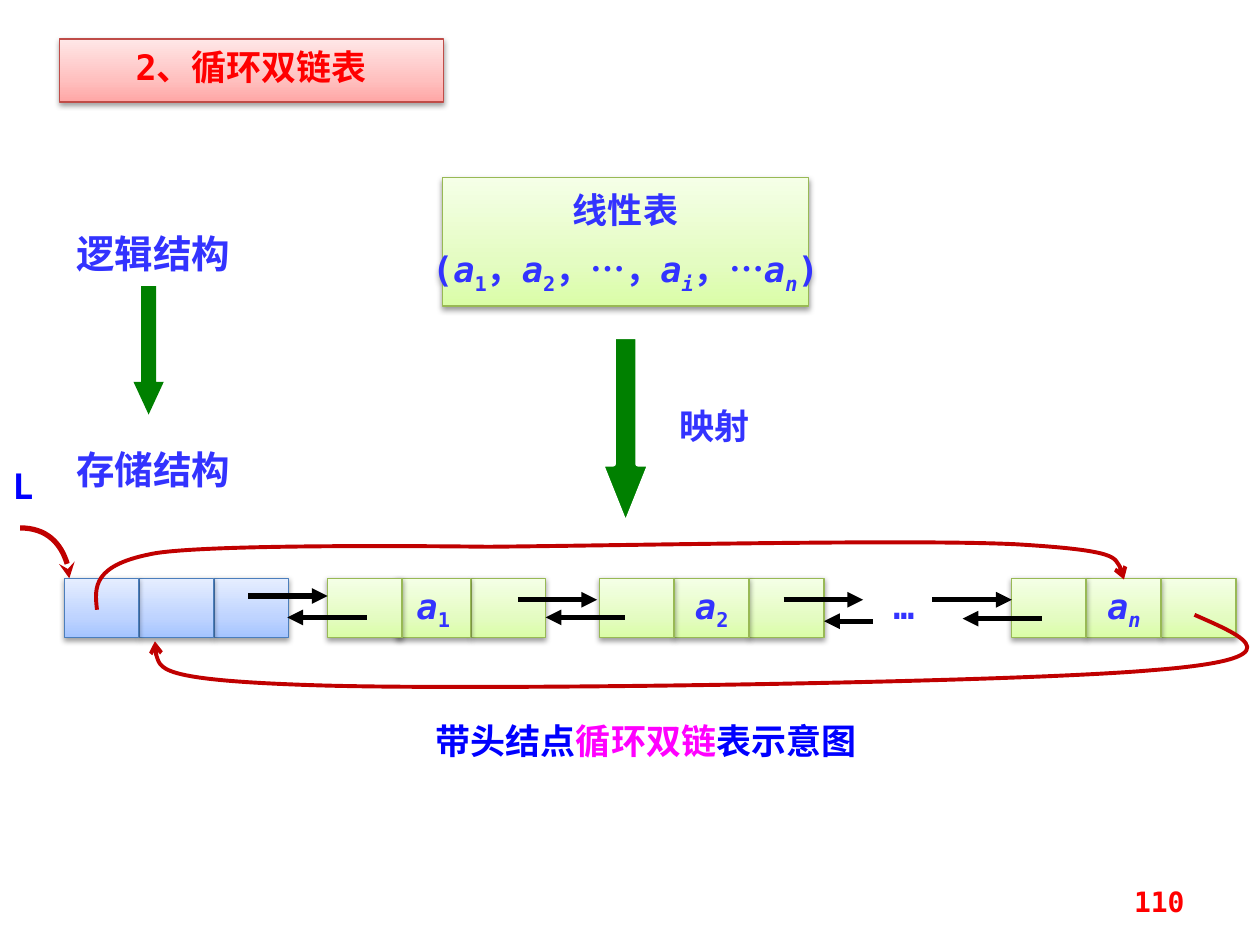
from copy import deepcopy
from dataclasses import dataclass

from lxml import etree
from pptx import Presentation
from pptx import util as u
from pptx.dml.color import RGBColor
from pptx.enum import shapes, text
from pptx.oxml import ns


@dataclass(frozen=True)
class Theme:
    font: str = "DejaVu Sans Mono"
    ink: str = "3333FF"
    strong: str = "0000FF"
    accent: str = "FF00FF"
    alert: str = "FF0000"
    mapping: str = "008000"
    loop: str = "C00000"
    link: str = "000000"
    paper: str = "FFFFFF"
    # Boxes: outline, then gradient stops from bottom to top
    green: tuple = ("98B955", "DAFDA7", "E4FCC2", "F5FFE7")
    blue: tuple = ("4B7EBC", "A4C4FF", "BFD4FF", "E6EEFF")
    red: tuple = ("BF4C48", "FFA6A5", "FFC0BF", "FFE7E7")
    body: int = 20
    label: int = 22
    number: int = 16


THEME = Theme()
ALIGN = text.PP_ALIGN
ANCHOR = text.MSO_ANCHOR
CELL_W, CELL_H, ROW_TOP = 0.59, 0.47, 4.59
CELL_PITCH = 1.19 / 2


def rgb(value):
    return RGBColor.from_string(value)


def inches(*values):
    return [u.Inches(v) for v in values]


def add_xml(parent, tag, **attributes):
    return etree.SubElement(parent, ns.qn(tag), attributes)


# Text
def write(shape, paragraphs, size=THEME.body, color=THEME.ink, align=ALIGN.CENTER,
          anchor=ANCHOR.TOP, wrap=True):
    """Each paragraph is a list of (words, options) runs."""
    frame = shape.text_frame
    frame.word_wrap, frame.vertical_anchor = wrap, anchor
    for index, runs in enumerate(paragraphs):
        paragraph = frame.add_paragraph() if index else frame.paragraphs[0]
        paragraph.alignment = align
        if index:
            paragraph.space_before = u.Pt(size / 2)
        for words, options in runs:
            run = paragraph.add_run()
            run.text = words
            values = {"name": THEME.font, "size": u.Pt(size), "bold": True,
                      "italic": options.get("italic", False)}
            for name, value in values.items():
                setattr(run.font, name, value)
            run.font.color.rgb = rgb(options.get("color", color))
            if options.get("sub"):
                run.font._element.set("baseline", "-25000")


def element(index):
    """Runs for the list element a with a subscript."""
    return [("a", {"italic": True}), (index, {"sub": True, "italic": index.isalpha()})]


def add_label(slide, box, runs, **style):
    write(slide.shapes.add_textbox(*inches(*box)), [runs], **style)


# Boxes and arrows
def style_box(shape, colors):
    outline, *stops = colors
    shape.line.color.rgb, shape.line.width = rgb(outline), u.Pt(0.75)
    shape.fill.gradient()
    shape.fill.gradient_angle = 90
    properties = shape._element.spPr
    stop_list = properties.find(f"{ns.qn('a:gradFill')}/{ns.qn('a:gsLst')}")
    stop_list.append(deepcopy(stop_list[0]))
    for stop, color, position in zip(shape.fill.gradient_stops, stops, (0, 0.35, 1)):
        stop.color.rgb, stop.position = rgb(color), position
    shadow = add_xml(add_xml(properties, "a:effectLst"), "a:outerShdw", blurRad="40000",
                     dist="20000", dir="5400000", rotWithShape="0")
    add_xml(add_xml(shadow, "a:srgbClr", val="000000"), "a:alpha", val="38000")


def add_box(slide, box, colors):
    shape = slide.shapes.add_shape(shapes.MSO_SHAPE.RECTANGLE, *inches(*box))
    style_box(shape, colors)
    return shape


def add_node(slide, left, colors, runs=None, overlap=0):
    """Three cells: previous link, data, next link; the first lies on top."""
    for part in (2, 1, 0):
        x = left + part * CELL_PITCH - (overlap if part else 0)
        cell = add_box(slide, (x, ROW_TOP, CELL_W, CELL_H), colors)
        if runs and part == 1:
            write(cell, [runs], anchor=ANCHOR.MIDDLE, wrap=False)


def add_down_arrow(slide, box, head, outline=None):
    arrow = slide.shapes.add_shape(shapes.MSO_SHAPE.DOWN_ARROW, *inches(*box))
    arrow.adjustments[0], arrow.adjustments[1] = 0.5, head
    arrow.shadow.inherit = False
    arrow.fill.solid()
    arrow.fill.fore_color.rgb = rgb(THEME.mapping)
    if outline:
        arrow.line.color.rgb, arrow.line.width = rgb(outline), u.Pt(3)
    else:
        arrow.line.fill.background()


def style_line(line, color, width, head):
    line.line.color.rgb, line.line.width = rgb(color), u.Pt(width)
    properties = line._element.spPr
    add_xml(properties.find(ns.qn("a:ln")), "a:tailEnd", type=head)
    add_xml(properties, "a:effectLst")


def add_link(slide, start, end, y):
    link = slide.shapes.add_connector(shapes.MSO_CONNECTOR.STRAIGHT,
                                      *inches(start, y, end, y))
    style_line(link, THEME.link, 3, "triangle")


def add_curve(slide, start, controls, width, head):
    """Bezier curve: every three control points make one segment."""
    builder = slide.shapes.build_freeform(*inches(*start))
    builder.add_line_segments([inches(*point) for point in controls], close=False)
    curve = builder.convert_to_shape()
    curve.fill.background()
    style_line(curve, THEME.loop, width, head)
    outline = next(curve._element.iter(ns.qn("a:path")))
    steps = outline.findall(ns.qn("a:lnTo"))
    for first in range(0, len(steps), 3):
        segment = add_xml(outline, "a:cubicBezTo")
        for step in steps[first:first + 3]:
            segment.append(step[0])
            outline.remove(step)


def main():
    deck = Presentation()
    deck.slide_width, deck.slide_height = inches(10, 7.5)
    slide = deck.slides.add_slide(deck.slide_layouts[5])

    # Title
    title = slide.shapes.title
    title.left, title.top, title.width, title.height = inches(0.47, 0.31, 3.05, 0.5)
    style_box(title, THEME.red)
    write(title, [[("2、循环双链表", {})]], color=THEME.alert)

    # Logical structure mapped to storage structure
    sequence = [("(", {}), *element("1"), ("，", {}), *element("2"), ("，…，", {}),
                *element("i"), ("，…", {}), *element("n"), (")", {})]
    linear_list = add_box(slide, (3.51, 1.41, 2.91, 1.02), THEME.green)
    write(linear_list, [[("线性表", {})], sequence], anchor=ANCHOR.MIDDLE, wrap=False)
    add_down_arrow(slide, (4.77, 2.67, 0.39, 1.5), 1.25, THEME.paper)
    add_down_arrow(slide, (1.06, 2.27, 0.24, 1.02), 1.08)
    add_label(slide, (5.16, 3.16, 1.02, 0.43), [("映射", {})])
    for words, top in (("逻辑结构", 1.78), ("存储结构", 3.49)):
        add_label(slide, (0.27, top, 1.89, 0.47), [(words, {})], size=THEME.label)

    # Head node and data nodes
    add_node(slide, 0.51, THEME.blue)
    add_node(slide, 2.6, THEME.green, element("1"), overlap=0.05)
    add_node(slide, 4.76, THEME.green, element("2"))
    add_node(slide, 8.03, THEME.green, element("n"))
    add_label(slide, (6.86, ROW_TOP, 0.63, 0.5), [("…", {})])

    # Links to the next and the previous node
    for start, end, y in ((1.97, 2.6, 4.73), (4.11, 4.74, 4.76), (6.22, 6.85, 4.76),
                          (7.4, 8.03, 4.76), (2.91, 2.28, 4.9), (4.96, 4.33, 4.9),
                          (6.93, 6.54, 4.93), (8.27, 7.64, 4.91)):
        add_link(slide, start, end, y)

    # Head pointer
    add_label(slide, (0, 3.64, 0.47, 0.5), [("L", {})], color=THEME.strong,
              align=ALIGN.LEFT)
    add_curve(slide, (0.16, 4.19), [(0.37, 4.19), (0.55, 4.37), (0.55, 4.59)],
              3, "stealth")

    # Links that close the circle
    add_curve(slide, (9.48, 4.88),
              [(9.89, 5.06), (10.3, 5.23), (9.14, 5.32), (7.99, 5.42), (3.85, 5.48),
               (2.53, 5.44), (1.21, 5.4), (1.22, 5.24), (1.23, 5.09)], 2.25, "arrow")
    add_curve(slide, (0.77, 4.84),
              [(0.75, 4.66), (0.73, 4.48), (1.24, 4.39), (1.76, 4.31), (3.87, 4.34),
               (3.87, 4.34), (5, 4.33), (7.22, 4.28), (8.06, 4.32), (8.9, 4.37),
               (8.91, 4.49), (8.92, 4.6)], 2.25, "arrow")

    # Caption and slide number
    add_label(slide, (3.36, 5.66, 3.83, 0.44),
              [("带头结点", {}), ("循环双链", {"color": THEME.accent}), ("表示意图", {})],
              color=THEME.strong, align=ALIGN.LEFT)
    add_label(slide, (7.17, 6.95, 2.33, 0.4), [("110", {})], size=THEME.number,
              color=THEME.alert, align=ALIGN.RIGHT, anchor=ANCHOR.MIDDLE)

    deck.save("out.pptx")


if __name__ == "__main__":
    main()
